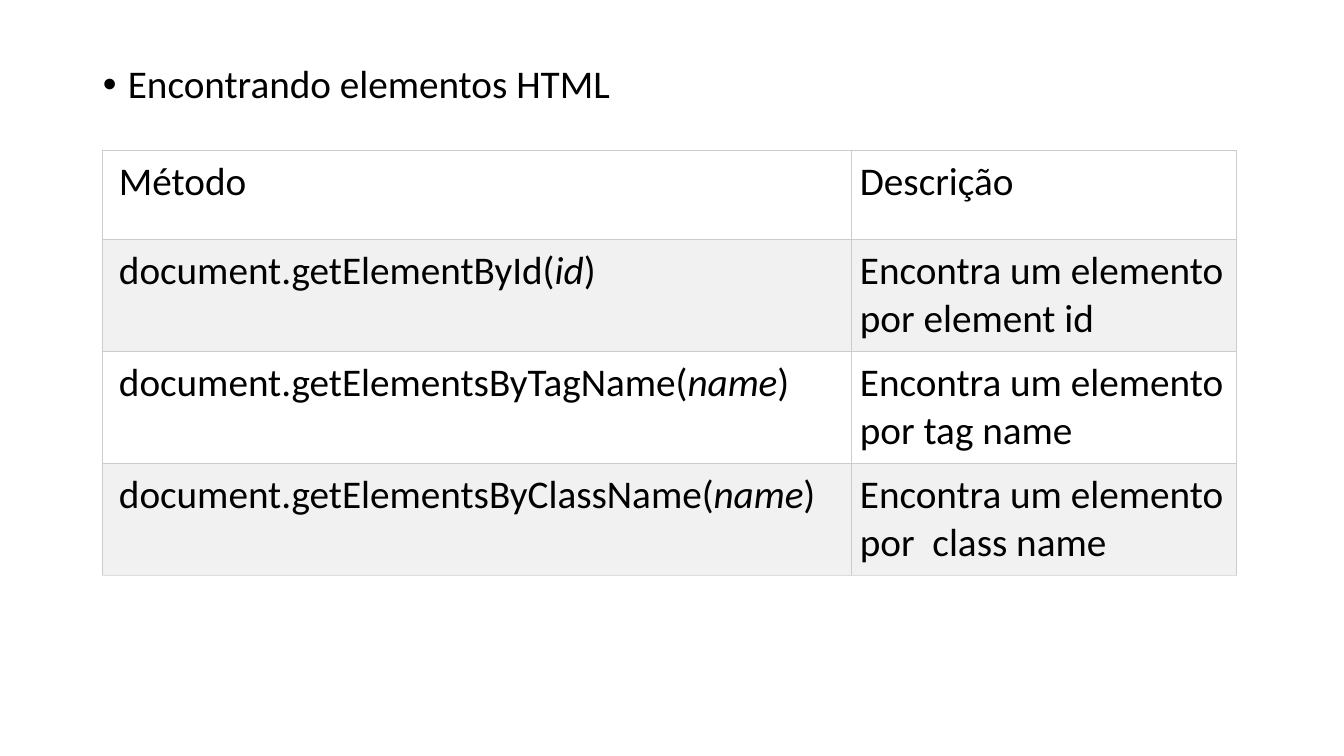
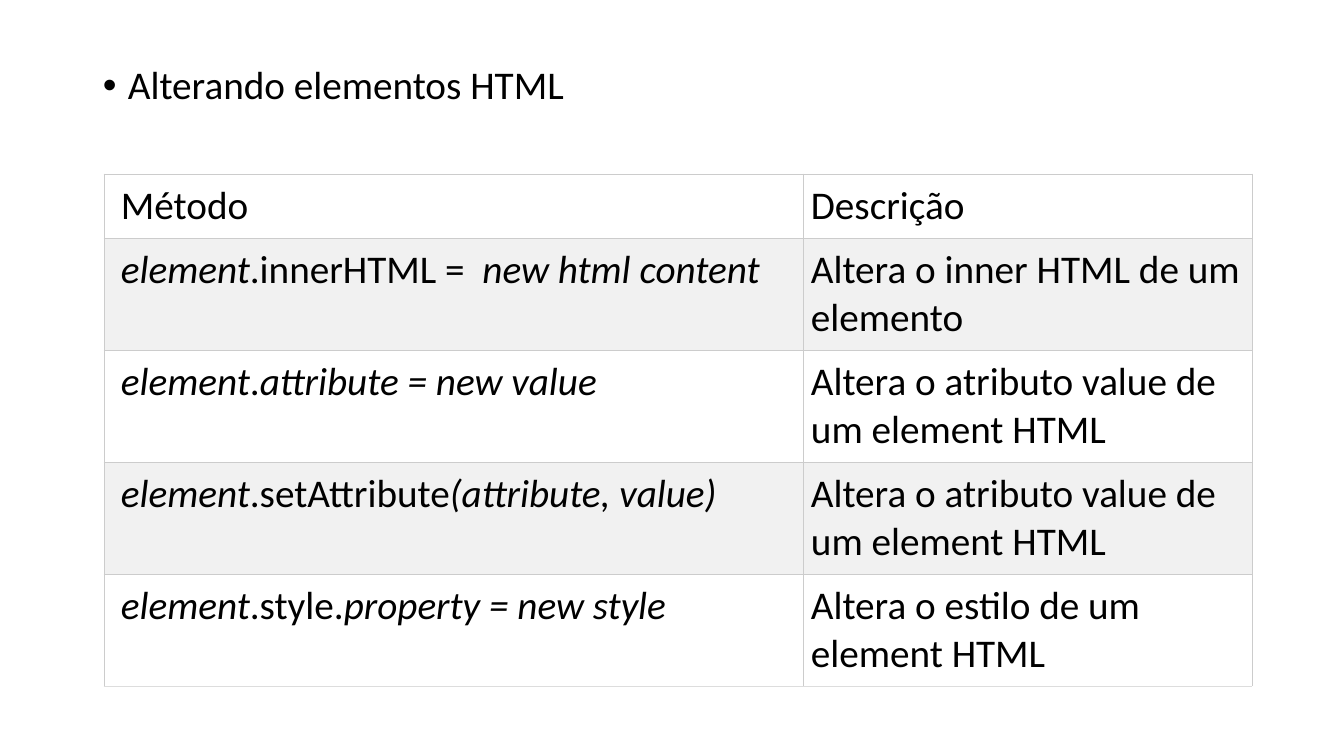
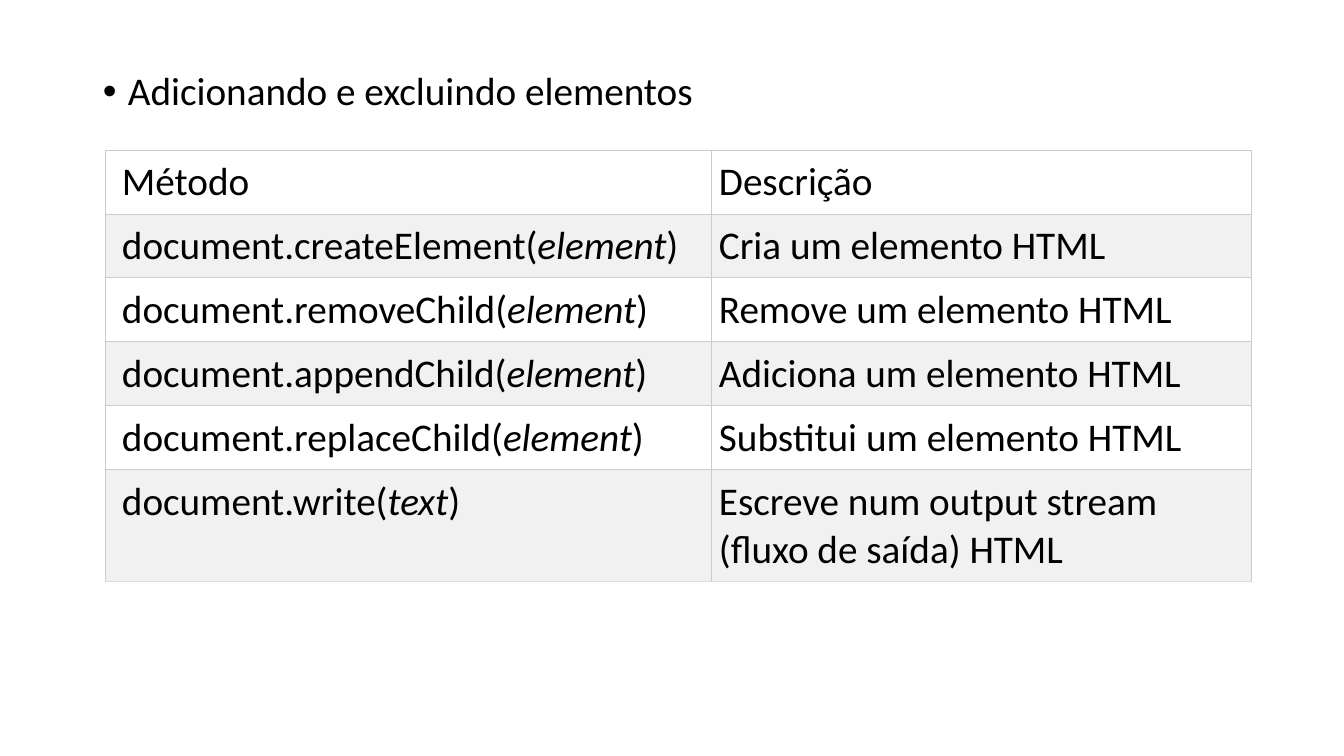
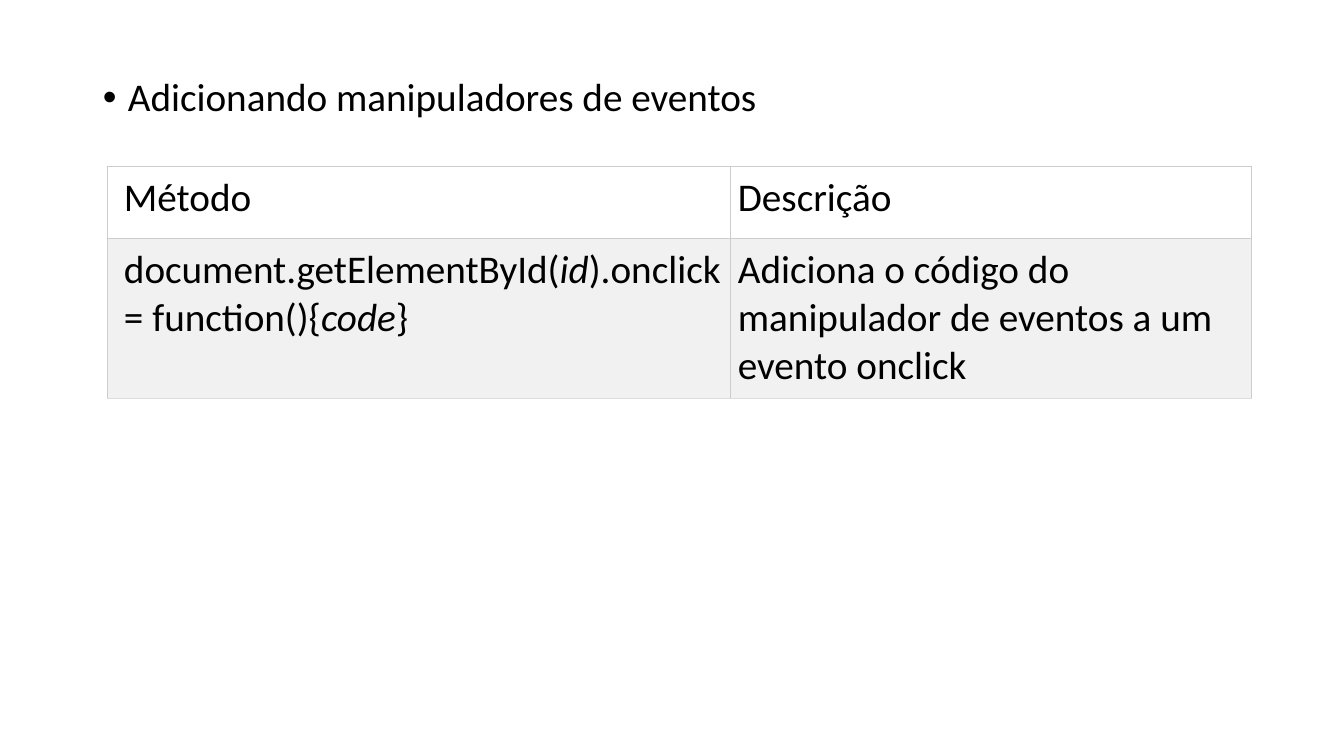
"""Build four slides of HTML DOM method tables."""
import pptx
import pptx.dml.color
import pptx.oxml
import pptx.oxml.ns
import pptx.util

EMU_PER_PX = 914400 / 100.8
COLORS = {
    "text": "000000",
    "plain_row": "FFFFFF",
    "banded_row": "F1F1F1",
    "border": "CCCCCC",
    "bottom_border": "DDDDDD",
}
FONT = "Calibri"
FONT_SIZE = 28
BODY_LEFT, BODY_WIDTH, BODY_BOTTOM = 93, 1159, 681
BULLET_INDENT = 25
CELL_MARGIN, FIRST_COLUMN_MARGIN = 8, 17
ONE_LINE, TWO_LINES = 64, 112
HEADER = ("Método", "Descrição")

SLIDES = [
    {
        "title": "Encontrando elementos HTML",
        "body_top": 60,
        "table_at": (102, 150),
        "columns": (750, 385),
        "row_heights": [89] + [TWO_LINES] * 3,
        "methods": [
            ("document.getElementById(*id*)", "Encontra um elemento por element id"),
            ("document.getElementsByTagName(*name*)", "Encontra um elemento por tag name"),
            ("document.getElementsByClassName(*name*)", "Encontra um elemento por  class name"),
        ],
    },
    {
        "title": "Alterando elementos HTML",
        "body_top": 61,
        "table_at": (104, 174),
        "columns": (699, 449),
        "row_heights": [ONE_LINE] + [TWO_LINES] * 4,
        "methods": [
            ("*element*.innerHTML =  *new html content*", "Altera o inner HTML de um elemento"),
            ("*element*.*attribute = new value*", "Altera o atributo value de um element HTML"),
            ("*element*.setAttribute*(attribute, value)*", "Altera o atributo value de um element HTML"),
            ("*element*.style.*property = new style*", "Altera o estilo de um element HTML"),
        ],
    },
    {
        "title": "Adicionando e excluindo elementos",
        "body_top": 67,
        "table_at": (105, 150),
        "columns": (606, 540),
        "row_heights": [ONE_LINE] * 5 + [TWO_LINES],
        "methods": [
            ("document.createElement(*element*)", "Cria um elemento HTML"),
            ("document.removeChild(*element*)", "Remove um elemento HTML"),
            ("document.appendChild(*element*)", "Adiciona um elemento HTML"),
            ("document.replaceChild(*element*)", "Substitui um elemento HTML"),
            ("document.write(*text*)", "Escreve num output stream (fluxo de saída) HTML"),
        ],
    },
    {
        "title": "Adicionando manipuladores de eventos",
        "body_top": 73,
        "table_at": (107, 166),
        "columns": (623, 522),
        "row_heights": [72, 160],
        "methods": [
            (
                "document.getElementById(*id*).onclick = function(){*code*}",
                "Adiciona o código do manipulador de eventos a um evento onclick",
            ),
        ],
    },
]


def px(length):
    """Turn px into EMU."""
    return pptx.util.Emu(round(length * EMU_PER_PX))


def add_runs(paragraph, text):
    """Add text as runs, with the parts between asterisks in italics."""
    for index, part in enumerate(text.split("*")):
        if part:
            run = paragraph.add_run()
            run.text = part
            run.font.name = FONT
            run.font.size = pptx.util.Pt(FONT_SIZE)
            run.font.italic = index % 2 == 1
            run.font.color.rgb = pptx.dml.color.RGBColor.from_string(COLORS["text"])


presentation = pptx.Presentation()
presentation.slide_width = px(1344)
presentation.slide_height = px(756)

for content in SLIDES:
    slide = presentation.slides.add_slide(presentation.slide_layouts[6])

    top = content["body_top"]
    body = slide.shapes.add_textbox(px(BODY_LEFT), px(top), px(BODY_WIDTH), px(BODY_BOTTOM - top))
    body.text_frame.word_wrap = True
    paragraph = body.text_frame.paragraphs[0]
    paragraph.line_spacing = 0.9
    paragraph.space_before = pptx.util.Pt(10)
    properties = paragraph._p.get_or_add_pPr()
    properties.set("marL", str(px(BULLET_INDENT)))
    properties.set("indent", str(-px(BULLET_INDENT)))
    namespace = pptx.oxml.ns.nsdecls("a")
    properties.append(pptx.oxml.parse_xml(f'<a:buFont {namespace} typeface="Arial"/>'))
    properties.append(pptx.oxml.parse_xml(f'<a:buChar {namespace} char="•"/>'))
    add_runs(paragraph, content["title"])

    rows = [HEADER] + content["methods"]
    left, top = content["table_at"]
    columns, heights = content["columns"], content["row_heights"]
    frame = slide.shapes.add_table(
        len(rows), len(columns), px(left), px(top), px(sum(columns)), px(sum(heights))
    )
    table = frame.table
    table.first_row = False
    table.horz_banding = False
    for column, width in zip(table.columns, columns):
        column.width = px(width)
    for row_index, texts in enumerate(rows):
        table.rows[row_index].height = px(heights[row_index])
        for column_index, text in enumerate(texts):
            cell = table.cell(row_index, column_index)
            cell.margin_left = px(CELL_MARGIN if column_index else FIRST_COLUMN_MARGIN)
            cell.margin_right = cell.margin_top = cell.margin_bottom = px(CELL_MARGIN)
            is_last = row_index == len(rows) - 1
            for side in "LRTB":
                color = COLORS["bottom_border" if is_last and side == "B" else "border"]
                cell._tc.get_or_add_tcPr().append(pptx.oxml.parse_xml(
                    f'<a:ln{side} {namespace} w="{pptx.util.Pt(0.75)}">'
                    f'<a:solidFill><a:srgbClr val="{color}"/></a:solidFill></a:ln{side}>'
                ))
            cell.fill.solid()
            fill = COLORS["banded_row" if row_index % 2 else "plain_row"]
            cell.fill.fore_color.rgb = pptx.dml.color.RGBColor.from_string(fill)
            add_runs(cell.text_frame.paragraphs[0], text)

presentation.save("out.pptx")
